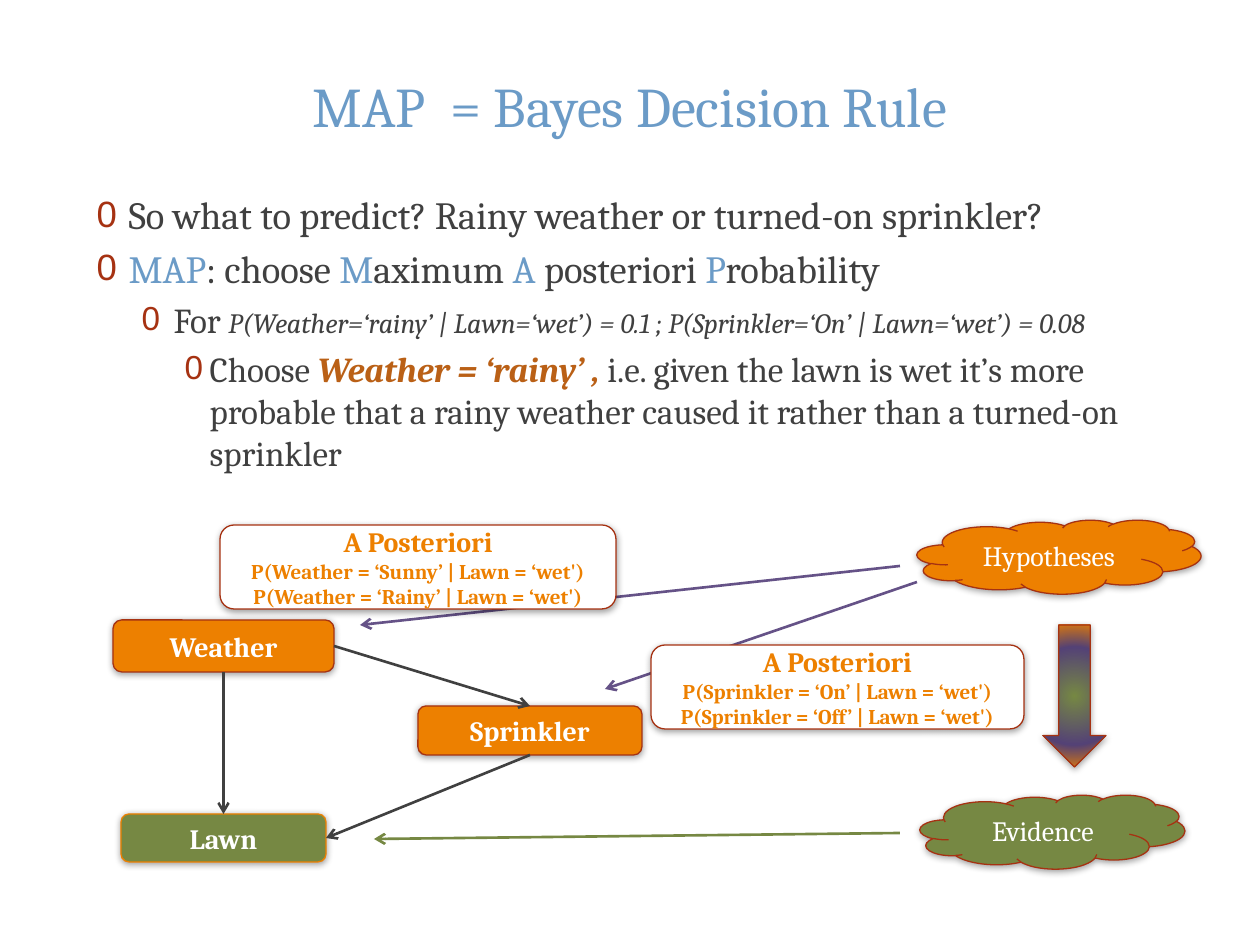
from lxml import etree
from pptx import Presentation
from pptx.dml.color import RGBColor
from pptx.enum.shapes import MSO_CONNECTOR, MSO_SHAPE
from pptx.enum.text import MSO_ANCHOR, PP_ALIGN
from pptx.oxml import parse_xml
from pptx.oxml.ns import nsdecls, qn
from pptx.util import Emu, Pt

STRAIGHT = MSO_CONNECTOR.STRAIGHT
ROUNDED, CLOUD, DOWN = MSO_SHAPE.ROUNDED_RECTANGLE, MSO_SHAPE.CLOUD, MSO_SHAPE.DOWN_ARROW
MIDDLE, CENTER = MSO_ANCHOR.MIDDLE, PP_ALIGN.CENTER
TOP_SITE, BOTTOM_SITE, RIGHT_SITE = 0, 2, 3

FONT = "Cambria"
WHITE = RGBColor(0xFF, 0xFF, 0xFF)
DARK = RGBColor(0x40, 0x40, 0x40)
BLUE = RGBColor(0x6B, 0x9B, 0xC7)
RED = RGBColor(0xA6, 0x32, 0x12)
BROWN = RGBColor(0xBA, 0x60, 0x16)
ORANGE = RGBColor(0xED, 0x80, 0x00)
GREEN = RGBColor(0x76, 0x88, 0x43)
PURPLE = RGBColor(0x65, 0x52, 0x87)
DEEP_PURPLE = RGBColor(0x54, 0x42, 0x76)

SCALE = 914400 / 126
# (left indent, hanging indent) in px for each list level
INDENTS = [(32, 32), (77, 32), (113, 25)]


def px(n):
    return Emu(round(n * SCALE))


def place(sp, box):
    sp.left, sp.top, sp.width, sp.height = map(px, box)


def style(r, size, color, bold=False, italic=False):
    f = r.font
    f.name, f.size, f.bold, f.italic = FONT, Pt(size), bold, italic
    f.color.rgb = color


def add_title(s, box):
    sp = s.shapes.title
    place(sp, box)
    tf = sp.text_frame
    tf.text = "MAP  = Bayes Decision Rule"
    tf.vertical_anchor = MIDDLE
    tf.paragraphs[0].alignment = CENTER
    style(tf.paragraphs[0].runs[0], 32, BLUE)


def set_bullet(p, level):
    p.level = level
    left, hang = INDENTS[level]
    pPr = p._p.get_or_add_pPr()
    pPr.set("marL", str(px(left)))
    pPr.set("indent", str(-px(hang)))
    for xml in (f'<a:buClr {nsdecls("a")}><a:srgbClr val="{RED}"/></a:buClr>',
                f'<a:buSzPct {nsdecls("a")} val="95000"/>',
                f'<a:buFont {nsdecls("a")} typeface="Arial"/>',
                f'<a:buChar {nsdecls("a")} char="0"/>'):
        pPr.append(parse_xml(xml))


def add_body(s, box):
    sp = s.placeholders[1]
    place(sp, box)
    tf = sp.text_frame
    plain, key = (22, DARK), (22, BLUE)
    items = [
        (0, [("So what to predict? Rainy weather or turned-on sprinkler?", plain)]),
        (0, [("MAP", key), (": choose ", plain), ("M", key), ("aximum ", plain),
             ("A", key), (" posteriori ", plain), ("P", key), ("robability", plain)]),
        (1, [("For ", (20, DARK)),
             ("P(Weather=‘rainy’ | Lawn=‘wet’) = 0.1 ; P(Sprinkler=‘On’ | Lawn=‘wet’) = 0.08",
              (16, DARK, False, True))]),
        (2, [("Choose ", (20, DARK)),
             ("Weather = ‘rainy’ , ", (20, BROWN, True, True)),
             ("i.e. given the lawn is wet it’s more probable that a rainy weather "
              "caused it rather than a turned-on sprinkler", (20, DARK))]),
    ]
    for i, (level, runs) in enumerate(items):
        p = tf.add_paragraph() if i else tf.paragraphs[0]
        set_bullet(p, level)
        for text, look in runs:
            r = p.add_run()
            r.text = text
            style(r, *look)


def add_node(shapes, kind, box, fill, line=RED):
    sp = shapes.add_shape(kind, *map(px, box))
    sp.fill.solid()
    sp.fill.fore_color.rgb = fill
    sp.line.color.rgb = line
    sp.line.width = Pt(0.75)
    sp.shadow.inherit = False
    effects = sp._element.spPr.find(qn("a:effectLst"))
    effects.append(parse_xml(
        f'<a:outerShdw {nsdecls("a")} blurRad="{Pt(4)}" dist="{Pt(1)}" dir="5400000" '
        'rotWithShape="0"><a:srgbClr val="000000"><a:alpha val="37000"/></a:srgbClr>'
        '</a:outerShdw>'))
    return sp


def label(sp, lines, color=WHITE, bold=True):
    """Centre the lines in the shape, the first one larger than the rest."""
    tf = sp.text_frame
    tf.word_wrap = True
    tf.vertical_anchor = MIDDLE
    tf.text = "\n".join(lines)
    for i, p in enumerate(tf.paragraphs):
        p.alignment = CENTER
        style(p.runs[0], 12 if i else 16, color, bold)


def add_arrow(shapes, color, start=(0, 0), end=(0, 0)):
    c = shapes.add_connector(STRAIGHT, *map(px, (*start, *end)))
    c.line.color.rgb = color
    c.line.width = Pt(1.5)
    etree.SubElement(c.line._get_or_add_ln(), qn("a:tailEnd"), type="arrow")
    etree.SubElement(c._element.spPr, qn("a:effectLst"))
    return c


def fill_radial(sp, stops):
    gs = "".join(f'<a:gs pos="{pos * 1000}"><a:srgbClr val="{color}"/></a:gs>'
                 for pos, color in stops)
    spPr = sp._element.spPr
    spPr.replace(spPr.find(qn("a:solidFill")), parse_xml(
        f'<a:gradFill {nsdecls("a")} rotWithShape="1"><a:gsLst>{gs}</a:gsLst>'
        '<a:path path="circle"><a:fillToRect l="50000" t="50000" r="50000" b="50000"/>'
        '</a:path></a:gradFill>'))


def add_diagram(s, left, top):
    shapes = s.shapes.add_group_shape().shapes

    def at(x, y, *size):
        return (left + x, top + y, *size)

    for start, end in [((804, 62), (492, 169)), ((787, 46), (247, 105))]:
        add_arrow(shapes, PURPLE, at(*start), at(*end))

    nodes = {}
    for name, box, fill, line in [("Weather", (0, 100, 221, 52), ORANGE, RED),
                                  ("Lawn", (8, 294, 205, 48), GREEN, ORANGE),
                                  ("Sprinkler", (305, 186, 224, 49), ORANGE, RED)]:
        nodes[name] = add_node(shapes, ROUNDED, at(*box), fill, line)
        label(nodes[name], [name])
    for cause, out_site, effect, in_site in [
            ("Weather", BOTTOM_SITE, "Lawn", TOP_SITE),
            ("Sprinkler", BOTTOM_SITE, "Lawn", RIGHT_SITE),
            ("Weather", RIGHT_SITE, "Sprinkler", TOP_SITE)]:
        c = add_arrow(shapes, DARK)
        c.begin_connect(nodes[cause], out_site)
        c.end_connect(nodes[effect], in_site)

    for name, box, fill in [("Hypotheses", (804, 0, 284, 74), ORANGE),
                            ("Evidence", (807, 275, 265, 74), GREEN)]:
        label(add_node(shapes, CLOUD, at(*box), fill), [name], bold=False)

    for name, values, box in [("Sprinkler", ("On", "Off"), (538, 125, 373, 84)),
                              ("Weather", ("Sunny", "Rainy"), (107, 5, 396, 84))]:
        lines = [f"P({name} = ‘{value}’ | Lawn = ‘wet')" for value in values]
        label(add_node(shapes, ROUNDED, at(*box), WHITE), ["A Posteriori", *lines], ORANGE)

    down = add_node(shapes, DOWN, at(930, 105, 63, 142), ORANGE)
    fill_radial(down, [(0, GREEN), (63, DEEP_PURPLE), (100, ORANGE)])
    add_arrow(shapes, GREEN, at(787, 313), at(261, 319))


def main():
    prs = Presentation()
    prs.slide_width, prs.slide_height = px(1260), px(945)
    s = prs.slides.add_slide(prs.slide_layouts[1])
    add_title(s, (76, 6, 1108, 199))
    add_body(s, (84, 185, 1100, 544))
    add_diagram(s, 113, 520)
    prs.save("out.pptx")


if __name__ == "__main__":
    main()
